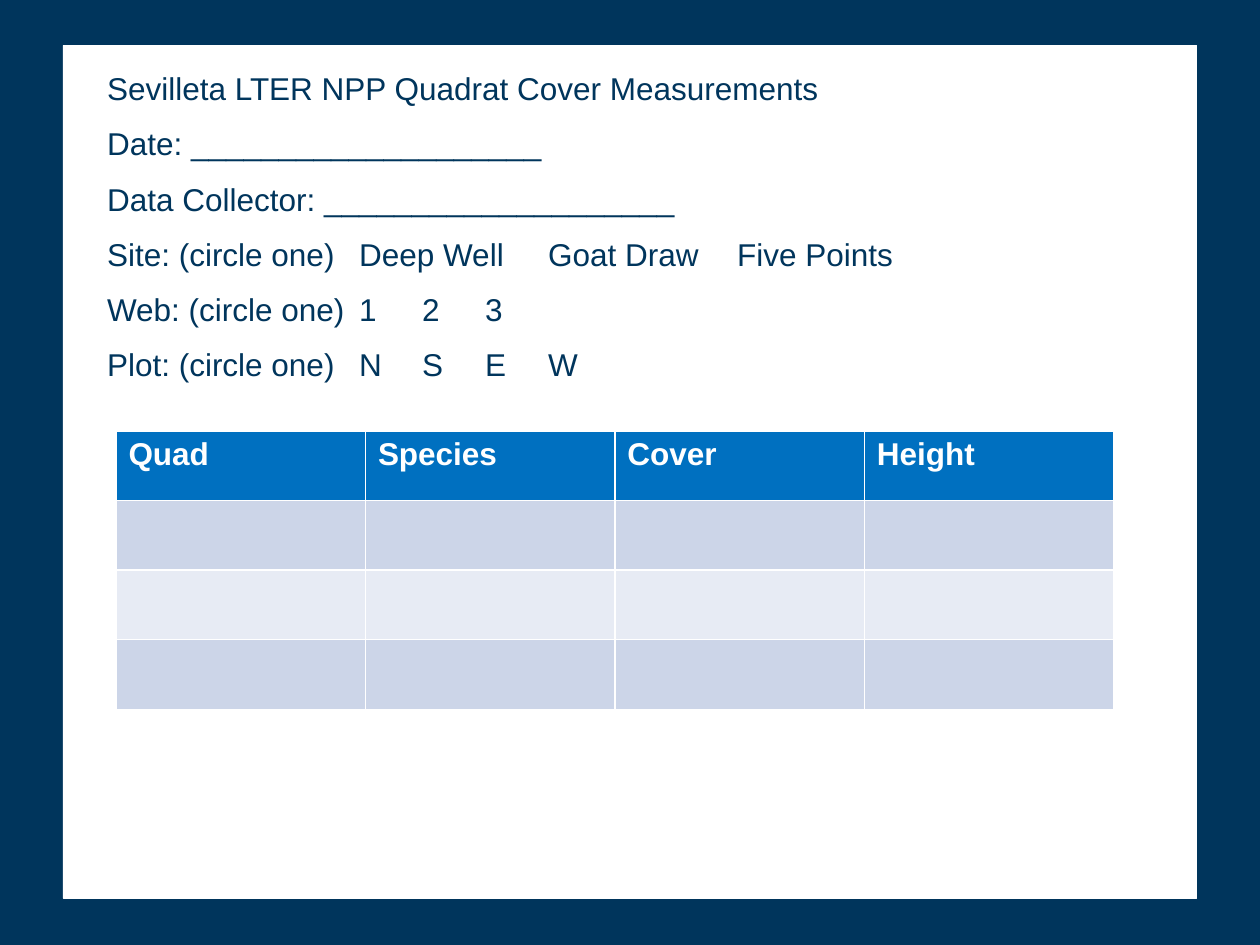
from dataclasses import dataclass

from lxml import etree
from pptx import Presentation
from pptx.dml.color import RGBColor
from pptx.enum.shapes import MSO_SHAPE
from pptx.enum.text import MSO_ANCHOR, MSO_AUTO_SIZE, PP_ALIGN
from pptx.oxml.ns import qn
from pptx.util import Inches, Pt

RECTANGLE = MSO_SHAPE.RECTANGLE
TOP = MSO_ANCHOR.TOP
NO_AUTOFIT = MSO_AUTO_SIZE.NONE
LEFT = PP_ALIGN.LEFT

COLORS = {
    "navy": "00355C",
    "white": "FFFFFF",
    "header": "0070C0",
    "band_dark": "CCD5E8",
    "band_light": "E7EBF4",
}
FONT = "Arial"
TEXT_SIZE = Pt(18)
LINE_GAP = Pt(9.9)


@dataclass
class FormLine:
    text: str
    stops: tuple = ()


BLANK = "_" * 20
FORM_LINES = [
    FormLine("Sevilleta LTER NPP Quadrat Cover Measurements"),
    FormLine(f"Date: {BLANK}"),
    FormLine(f"Data Collector: {BLANK}"),
    FormLine("Site: (circle one)\tDeep Well\tGoat Draw\tFive Points", (2.01, 4, 6)),
    FormLine("Web: (circle one)\t1\t2\t3", (2.08, 2.57, 3.12)),
    FormLine("Plot: (circle one)\tN\tS\tE\tW", (1.94, 2.33, 2.7, 3.08)),
]
HEADINGS = ["Quad", "Species", "Cover", "Height"]
ROW_FILLS = ["header", "band_dark", "band_light", "band_dark"]


def color(name: str) -> RGBColor:
    return RGBColor.from_string(COLORS[name])


def style_font(font, color_name: str, bold: bool = False) -> None:
    font.name = FONT
    font.size = TEXT_SIZE
    font.bold = bold
    font.color.rgb = color(color_name)


def add_panel(page, body) -> None:
    panel = page.shapes.add_shape(
        RECTANGLE, Inches(0.5), Inches(0.36), Inches(9), Inches(6.77))
    panel.shadow.inherit = False
    panel.fill.solid()
    panel.fill.fore_color.rgb = color("white")
    panel.line.color.rgb = color("white")
    panel.line.width = Pt(0.5)
    body._element.addprevious(panel._element)


def write_line(para, line: FormLine, is_first: bool) -> None:
    para.text = line.text
    properties = para._p.get_or_add_pPr()
    properties.set("marL", "0")
    properties.set("indent", "0")
    etree.SubElement(properties, qn("a:buNone"))
    if line.stops:
        tabs = etree.SubElement(properties, qn("a:tabLst"))
        for stop in line.stops:
            etree.SubElement(
                tabs, qn("a:tab"), pos=str(Inches(stop)), algn="l")
    para.alignment = LEFT
    para.space_before = Pt(0) if is_first else LINE_GAP
    for span in para.runs:
        style_font(span.font, "navy")


def fill_form(body) -> None:
    body.left, body.top = Inches(0.75), Inches(0.5)
    body.width, body.height = Inches(8.5), Inches(5.4)
    frame = body.text_frame
    frame.word_wrap = True
    frame.auto_size = NO_AUTOFIT
    frame.vertical_anchor = TOP
    for index, line in enumerate(FORM_LINES):
        para = frame.add_paragraph() if index else frame.paragraphs[0]
        write_line(para, line, index == 0)


def add_cover_table(page) -> None:
    table = page.shapes.add_table(
        len(ROW_FILLS), len(HEADINGS),
        Inches(0.92), Inches(3.42), Inches(7.92), Inches(2.21)).table
    for row, fill_name in zip(table.rows, ROW_FILLS):
        for cell in row.cells:
            cell.fill.solid()
            cell.fill.fore_color.rgb = color(fill_name)
    for cell, heading in zip(table.rows[0].cells, HEADINGS):
        cell.text_frame.text = heading
        para = cell.text_frame.paragraphs[0]
        para.alignment = LEFT
        style_font(para.runs[0].font, "white", bold=True)


def main() -> None:
    deck = Presentation()
    deck.slide_width, deck.slide_height = Inches(10), Inches(7.5)
    page = deck.slides.add_slide(deck.slide_layouts[1])
    page.background.fill.solid()
    page.background.fill.fore_color.rgb = color("navy")
    title = page.shapes.title._element
    title.getparent().remove(title)
    body = page.placeholders[1]
    add_panel(page, body)
    fill_form(body)
    add_cover_table(page)
    deck.save("out.pptx")


if __name__ == "__main__":
    main()
